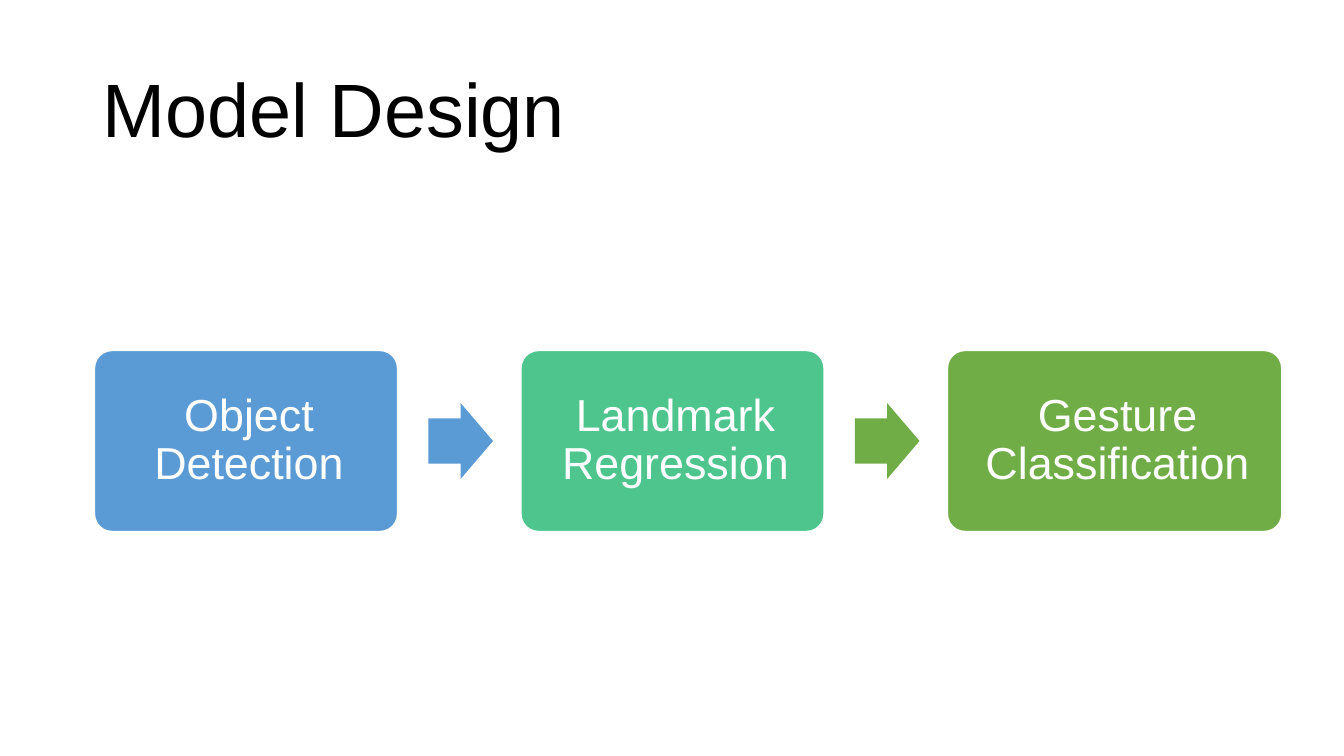
"""Build the Model Design slide: three stages joined by arrows."""
from pptx import Presentation
from pptx import util as u
from pptx.dml import color
from pptx.enum import shapes, text


def tint(code):
    return color.RGBColor.from_string(code)


def write(shape, words, size, ink, align, inset):
    frame = shape.text_frame
    frame.text = words
    margins = dict(zip(("left", "top", "right", "bottom"), inset))
    for side, gap in margins.items():
        setattr(frame, "margin_" + side, u.Inches(gap))
    frame.word_wrap = True
    frame.auto_size = text.MSO_AUTO_SIZE.NONE
    frame.vertical_anchor = text.MSO_ANCHOR.MIDDLE
    para = frame.paragraphs[0]
    para.alignment = align
    para.line_spacing = 0.9
    para.space_before = u.Pt(0)
    font = para.runs[0].font
    for key, value in {"name": "Arial", "size": u.Pt(size)}.items():
        setattr(font, key, value)
    font.color.rgb = tint(ink)


deck = Presentation()
deck.slide_width, deck.slide_height = u.Inches(13.33), u.Inches(7.5)
slide = deck.slides.add_slide(deck.slide_layouts[5])

title = slide.shapes.title
place = {"left": 0.92, "top": 0.4, "width": 11.5, "height": 1.45}
for key, value in place.items():
    setattr(title, key, u.Inches(value))
write(title, "Model Design", 54, "000000", text.PP_ALIGN.LEFT,
      (0.1, 0.05, 0.1, 0.05))

left, pitch = 0.93, 4.23
stages = [
    ("Object Detection", 3.02, "5B9BD5", "5B9BD5"),
    ("Landmark Regression", 3.02, "4DC58D", "70AD47"),
    ("Gesture Classification", 3.33, "70AD47", None),
]
for step, (label, width, fill, next_fill) in enumerate(stages):
    x = left + step * pitch
    box = slide.shapes.add_shape(
        shapes.MSO_SHAPE.ROUNDED_RECTANGLE,
        u.Inches(x), u.Inches(3.47), u.Inches(width), u.Inches(1.81))
    box.adjustments[0] = 0.1
    box.shadow.inherit = False
    box.fill.solid()
    box.fill.fore_color.rgb = tint(fill)
    box.line.color.rgb = tint("FFFFFF")
    box.line.width = u.Pt(2)
    write(box, label, 32, "FFFFFF", text.PP_ALIGN.CENTER,
          (0.19, 0.19, 0.13, 0.19))
    box.text_frame.paragraphs[0].space_after = u.Pt(11.2)
    if next_fill:
        arrow = slide.shapes.add_shape(
            shapes.MSO_SHAPE.RIGHT_ARROW,
            u.Inches(x + 3.32), u.Inches(4), u.Inches(0.64), u.Inches(0.75))
        arrow.adjustments[0] = 0.6
        arrow.adjustments[1] = 0.5
        arrow.shadow.inherit = False
        arrow.fill.solid()
        arrow.fill.fore_color.rgb = tint(next_fill)
        arrow.line.fill.background()

deck.save("out.pptx")
